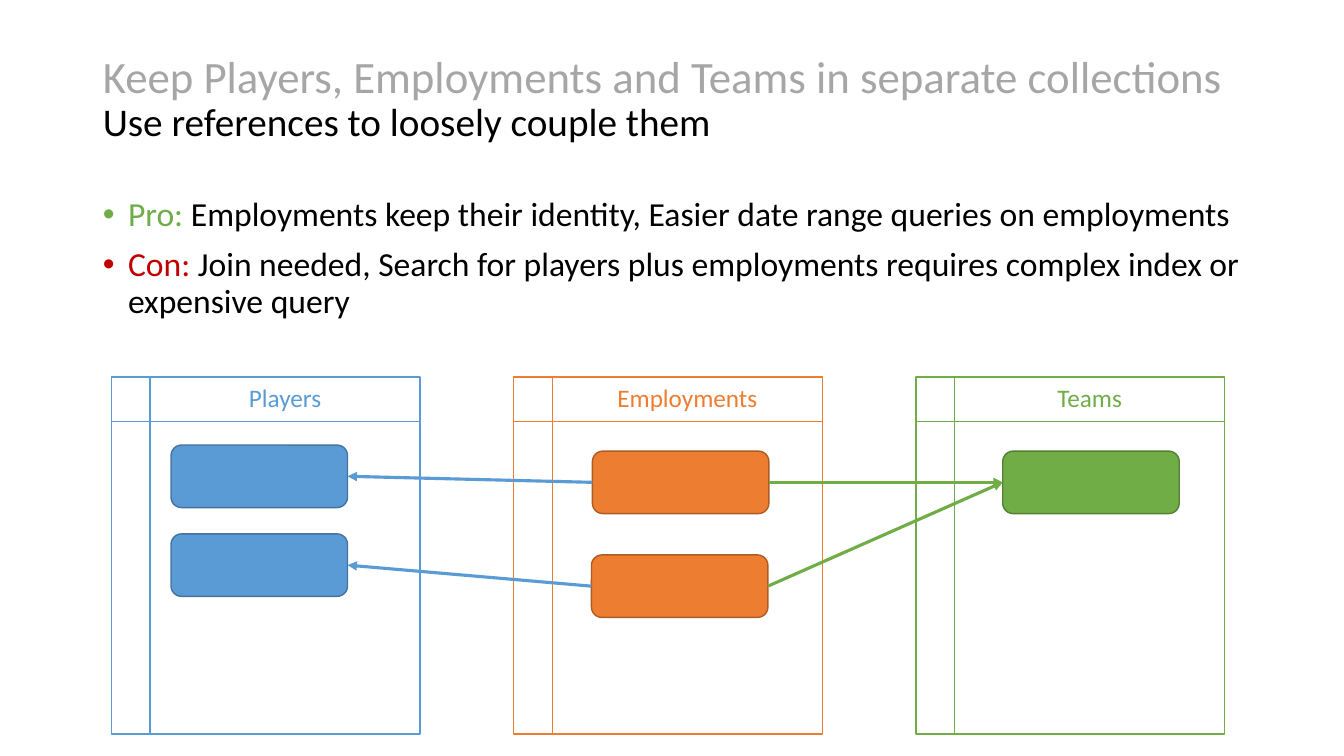
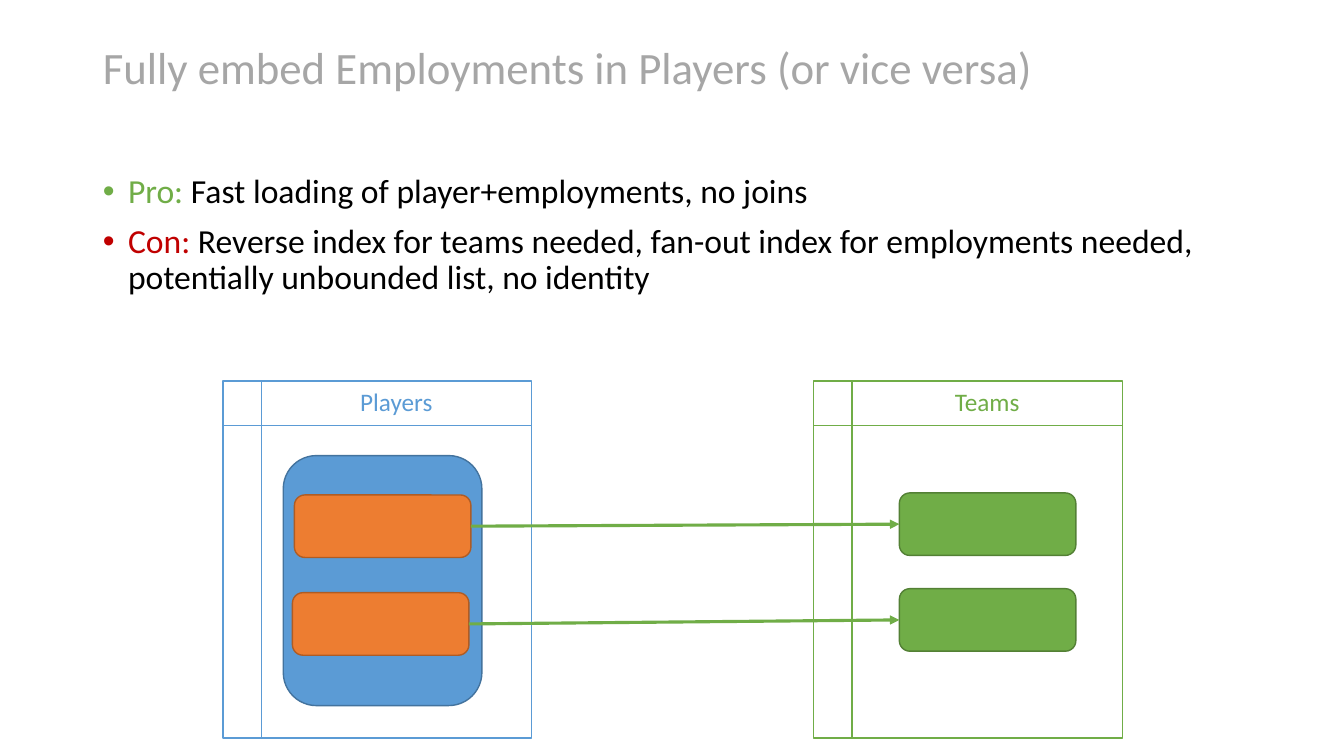
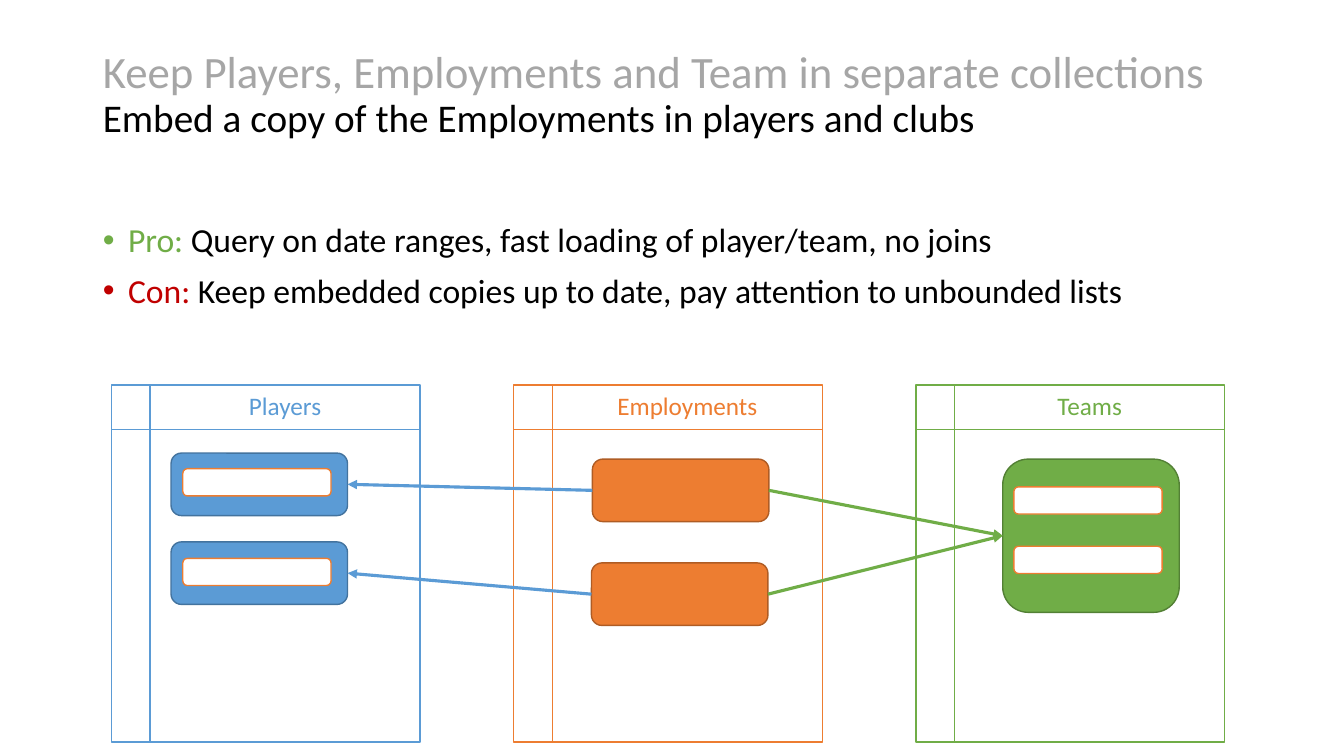
"""Build three slides comparing ways to store players, employments and teams."""
from dataclasses import dataclass

from lxml import etree
from pptx import Presentation
from pptx.dml.color import RGBColor
from pptx.enum.shapes import MSO_CONNECTOR, MSO_SHAPE
from pptx.enum.text import MSO_ANCHOR, MSO_AUTO_SIZE, PP_ALIGN
from pptx.oxml.ns import qn
from pptx.util import Inches, Pt

STORAGE = MSO_SHAPE.FLOWCHART_INTERNAL_STORAGE
ROUNDED = MSO_SHAPE.ROUNDED_RECTANGLE
STRAIGHT = MSO_CONNECTOR.STRAIGHT
MIDDLE = MSO_ANCHOR.MIDDLE
NO_FIT = MSO_AUTO_SIZE.NONE
LEFT, CENTER = PP_ALIGN.LEFT, PP_ALIGN.CENTER
LEFT_SITE, RIGHT_SITE = 1, 3


@dataclass(frozen=True)
class Theme:
    font: str = "Calibri"
    title: str = "A6A6A6"
    text: str = "000000"
    paper: str = "FFFFFF"
    pro: str = "70AD47"
    con: str = "C00000"
    players: tuple = ("5B9BD5", "43739E")
    employments: tuple = ("ED7D31", "AF5C24")
    teams: tuple = ("70AD47", "538035")
    title_size: int = 32
    subtitle_size: int = 28
    body_size: int = 24
    label_size: int = 18
    outline: float = 1
    arrow: float = 2.25


THEME = Theme()
PLAYERS, EMPLOYMENTS, TEAMS = THEME.players, THEME.employments, THEME.teams
EMBEDDED = (THEME.paper, EMPLOYMENTS[0])

presentation = Presentation()
presentation.slide_width = Inches(13.33)
presentation.slide_height = Inches(7.5)


def frame(left, top, width, height):
    """Turn percentages of the slide into lengths."""
    across, down = presentation.slide_width / 100, presentation.slide_height / 100
    return int(left * across), int(top * down), int(width * across), int(height * down)


def add_run(paragraph, text, size, colour):
    """Append one formatted run."""
    run = paragraph.add_run()
    run.text = text
    run.font.name = THEME.font
    run.font.size = Pt(size)
    run.font.color.rgb = RGBColor.from_string(colour)


MARGIN, CONTENT_WIDTH, TITLE_TOP = 6.9, 86.27, 5.33
PANEL_WIDTH, PANEL_HEIGHT = 22.96, 47.2
RAIL = PANEL_WIDTH / 8
LABEL_HEIGHT = 5.33
RECORD = (13.13, 8.27)
TALL_RECORD = (13.13, 20.27)
NEST = (14.78, 33.07)
SLOT = (11.03, 3.6)
FIRST_PANEL, PANEL_PITCH = 8.3, 29.93

THREE_PANELS = [
    (name, colours, FIRST_PANEL + PANEL_PITCH * index)
    for index, (name, colours) in enumerate(
        [("Players", PLAYERS), ("Employments", EMPLOYMENTS), ("Teams", TEAMS)]
    )
]
TWO_PANELS = [("Players", PLAYERS, 16.58), ("Teams", TEAMS, 60.54)]

SEPARATE_RECORDS = [
    (0, PLAYERS, 4.43, 9, RECORD),
    (0, PLAYERS, 4.43, 20.75, RECORD),
    (1, EMPLOYMENTS, 5.85, 9.8, RECORD),
    (1, EMPLOYMENTS, 5.78, 23.53, RECORD),
]
SEPARATE_ARROWS = [
    (2, LEFT_SITE, 0, RIGHT_SITE, PLAYERS),
    (3, LEFT_SITE, 1, RIGHT_SITE, PLAYERS),
    (2, RIGHT_SITE, 4, LEFT_SITE, TEAMS),
    (3, RIGHT_SITE, 4, LEFT_SITE, TEAMS),
]

SLIDES = [
    {
        "title": ["Keep Players, Employments and Teams in separate collections",
                  "Use references to loosely couple them"],
        "title_height": 15.73,
        "pro": " Employments keep their identity, Easier date range queries on employments",
        "con": " Join needed, Search for players plus employments requires complex index or expensive query",
        "body": (25.47, 22.67),
        "panel_top": 49.87,
        "panels": THREE_PANELS,
        "records": SEPARATE_RECORDS + [(2, TEAMS, 6.45, 9.8, RECORD)],
        "arrows": SEPARATE_ARROWS,
    },
    {
        "title": ["Fully embed Employments in Players (or vice versa)"],
        "title_height": 7.73,
        "pro": " Fast loading of player+employments, no joins",
        "con": " Reverse index for teams needed, fan-out index for employments needed, "
               "potentially unbounded list, no identity",
        "body": (22.4, 25.47),
        "panel_top": 50.4,
        "panels": TWO_PANELS,
        "records": [
            (0, PLAYERS, 4.5, 9.87, NEST),
            (0, EMPLOYMENTS, 5.33, 15.07, RECORD),
            (0, EMPLOYMENTS, 5.18, 28, RECORD),
            (1, TEAMS, 6.38, 14.8, RECORD),
            (1, TEAMS, 6.38, 27.47, RECORD),
        ],
        "arrows": [
            (1, RIGHT_SITE, 3, LEFT_SITE, TEAMS),
            (2, RIGHT_SITE, 4, LEFT_SITE, TEAMS),
        ],
    },
    {
        "title": ["Keep Players, Employments and Team in separate collections",
                  "Embed a copy of the Employments in players and clubs"],
        "title_height": 14.53,
        "pro": " Query on date ranges, fast loading of player/team, no joins",
        "con": " Keep embedded copies up to date, pay attention to unbounded lists",
        "body": (28.93, 20.27),
        "panel_top": 50.93,
        "panels": THREE_PANELS,
        "records": SEPARATE_RECORDS + [
            (2, TEAMS, 6.45, 9.8, TALL_RECORD),
            (0, EMBEDDED, 5.3, 11.07, SLOT),
            (0, EMBEDDED, 5.3, 22.93, SLOT),
            (2, EMBEDDED, 7.28, 13.47, SLOT),
            (2, EMBEDDED, 7.28, 21.33, SLOT),
        ],
        "arrows": SEPARATE_ARROWS,
    },
]

for content in SLIDES:
    slide = presentation.slides.add_slide(presentation.slide_layouts[1])
    title, body = slide.placeholders
    body_top, body_height = content["body"]
    title.left, title.top, title.width, title.height = frame(
        MARGIN, TITLE_TOP, CONTENT_WIDTH, content["title_height"]
    )
    body.left, body.top, body.width, body.height = frame(
        MARGIN, body_top, CONTENT_WIDTH, body_height
    )
    title.text_frame.vertical_anchor = MIDDLE
    title_styles = [(THEME.title_size, THEME.title), (THEME.subtitle_size, THEME.text)]
    for index, (line, (size, colour)) in enumerate(zip(content["title"], title_styles)):
        text_frame = title.text_frame
        paragraph = text_frame.add_paragraph() if index else text_frame.paragraphs[0]
        paragraph.alignment = LEFT
        add_run(paragraph, line, size, colour)

    points = [("Pro:", THEME.pro, content["pro"]), ("Con:", THEME.con, content["con"])]
    for index, (heading, colour, detail) in enumerate(points):
        text_frame = body.text_frame
        paragraph = text_frame.add_paragraph() if index else text_frame.paragraphs[0]
        paragraph.space_before = Pt(10)
        properties = paragraph._p.get_or_add_pPr()
        properties.set("marL", str(Inches(0.25)))
        properties.set("indent", str(-Inches(0.25)))
        add_run(paragraph, heading, THEME.body_size, colour)
        add_run(paragraph, detail, THEME.body_size, THEME.text)

    for placeholder in (title, body):
        placeholder.text_frame.auto_size = NO_FIT
        for paragraph in placeholder.text_frame.paragraphs:
            paragraph.line_spacing = 0.9

    panel_top = content["panel_top"]
    boxes = [
        (STORAGE, THEME.paper, colours[0], (left, panel_top, PANEL_WIDTH, PANEL_HEIGHT))
        for name, colours, left in content["panels"]
    ]
    boxes += [
        (ROUNDED, *colours, (content["panels"][panel][2] + across, panel_top + down, *size))
        for panel, colours, across, down, size in content["records"]
    ]
    records = []
    for kind, fill, edge, place in boxes:
        shape = slide.shapes.add_shape(kind, *frame(*place))
        shape.shadow.inherit = False
        shape.fill.solid()
        shape.fill.fore_color.rgb = RGBColor.from_string(fill)
        shape.line.color.rgb = RGBColor.from_string(edge)
        shape.line.width = Pt(THEME.outline)
        if kind == ROUNDED:
            records.append(shape)

    for source, source_site, target, target_site, colours in content["arrows"]:
        arrow = slide.shapes.add_connector(STRAIGHT, 0, 0, 0, 0)
        arrow.begin_connect(records[source], source_site)
        arrow.end_connect(records[target], target_site)
        arrow.line.color.rgb = RGBColor.from_string(colours[0])
        arrow.line.width = Pt(THEME.arrow)
        etree.SubElement(arrow.line._get_or_add_ln(), qn("a:tailEnd"), type="triangle")
        etree.SubElement(arrow._element.spPr, qn("a:effectLst"))

    for name, colours, left in content["panels"]:
        label = slide.shapes.add_textbox(
            *frame(left + RAIL, panel_top, PANEL_WIDTH - RAIL, LABEL_HEIGHT)
        )
        label.text_frame.word_wrap = True
        paragraph = label.text_frame.paragraphs[0]
        paragraph.alignment = CENTER
        add_run(paragraph, name, THEME.label_size, colours[0])

presentation.save("out.pptx")
